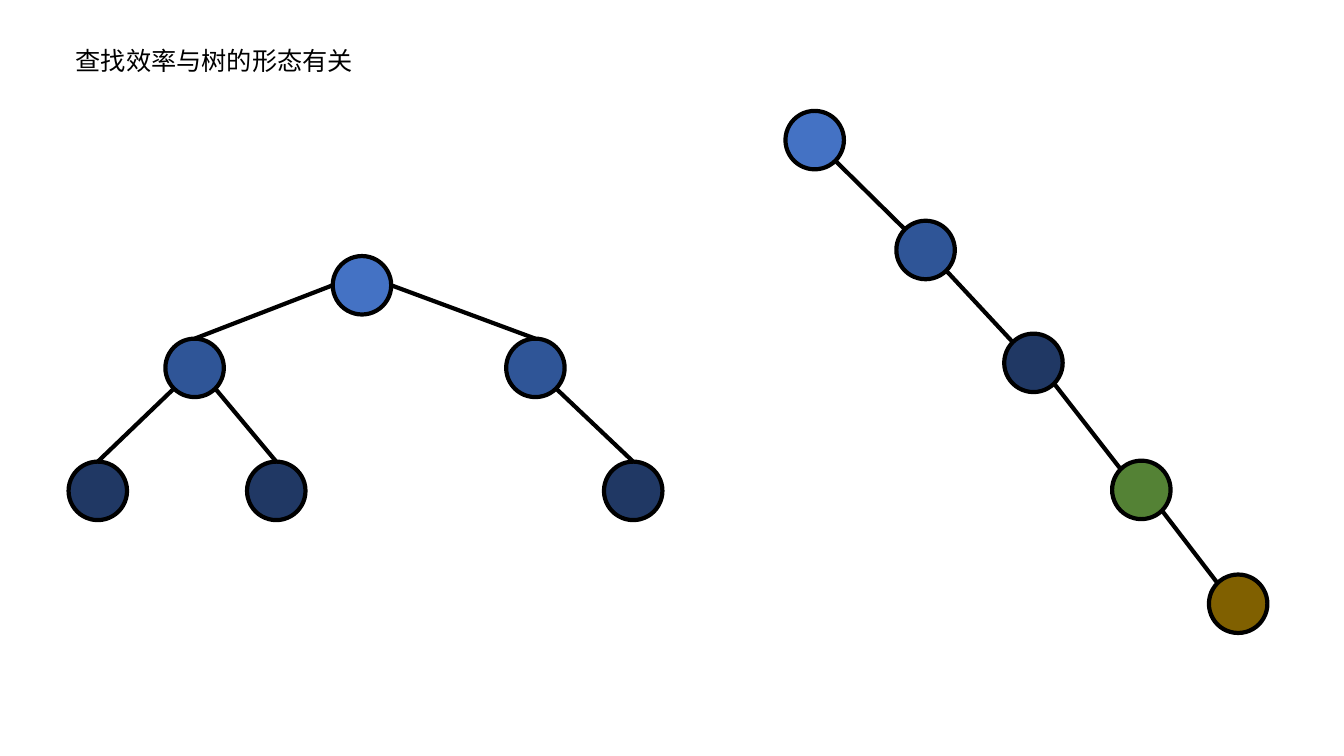
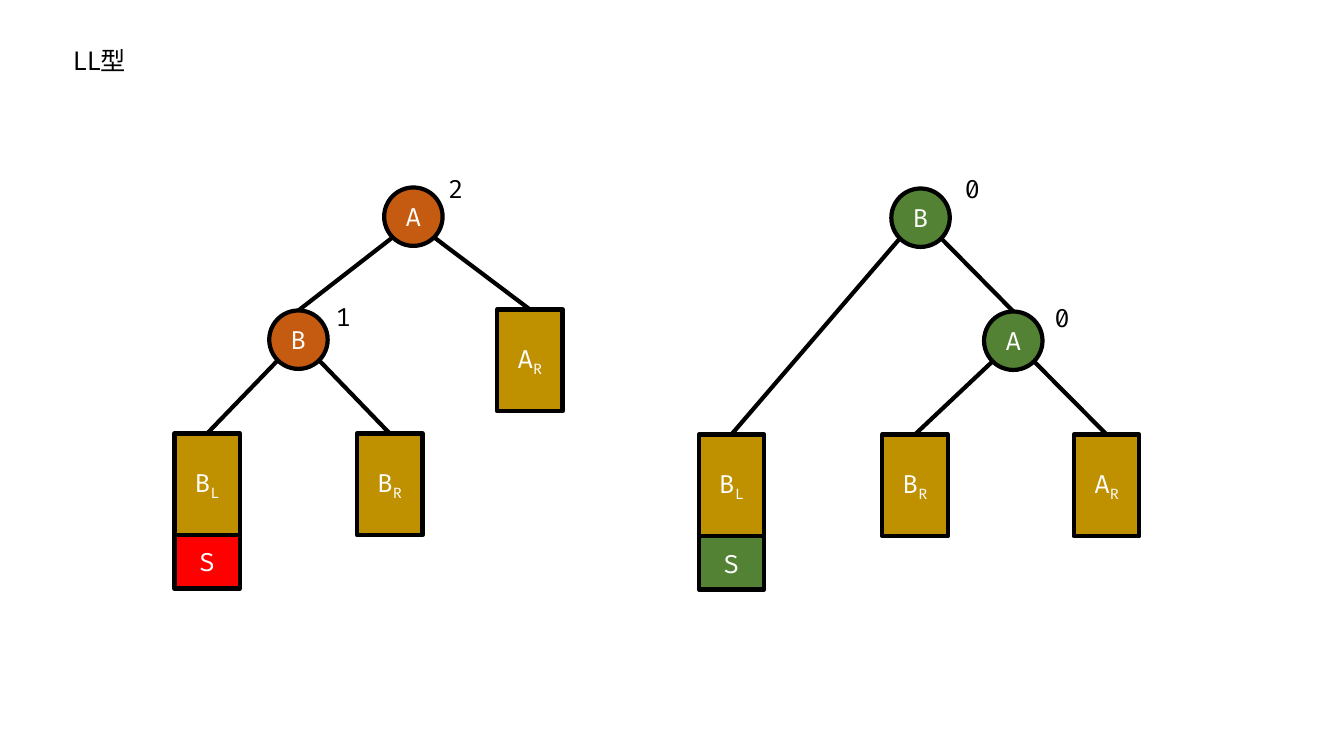
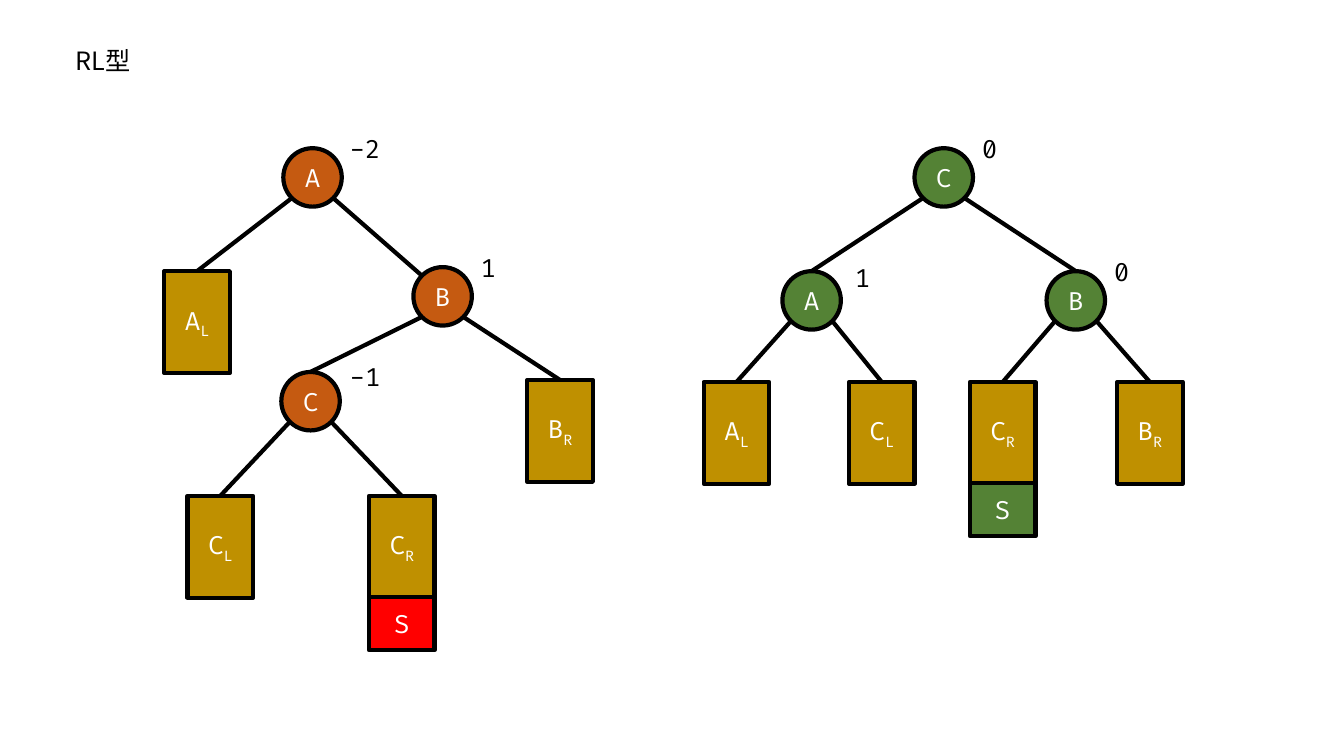
from lxml import etree
from pptx import Presentation
from pptx.dml.color import RGBColor
from pptx.enum.shapes import MSO_CONNECTOR, MSO_SHAPE
from pptx.enum.text import MSO_ANCHOR, MSO_AUTO_SIZE, PP_ALIGN
from pptx.oxml.ns import qn
from pptx.util import Inches, Pt

OVAL, RECT = MSO_SHAPE.OVAL, MSO_SHAPE.RECTANGLE
STRAIGHT = MSO_CONNECTOR.STRAIGHT
TOP, MIDDLE = MSO_ANCHOR.TOP, MSO_ANCHOR.MIDDLE
LEFT, CENTER = PP_ALIGN.LEFT, PP_ALIGN.CENTER
NO_FIT, GROW = MSO_AUTO_SIZE.NONE, MSO_AUTO_SIZE.SHAPE_TO_FIT_TEXT

COLORS = {
    "black": "000000", "white": "FFFFFF", "blue": "4472C4", "mid_blue": "2F5597",
    "navy": "203864", "green": "548235", "brown": "806000", "orange": "C55A11",
    "gold": "BF9000", "red": "FF0000",
}
TITLE_FONT, LABEL_FONT = "Noto Sans CJK SC", "Fira Code"
LINE_WIDTH = Pt(3)

TITLE_FRAME = {"vertical_anchor": TOP, "word_wrap": True, "auto_size": NO_FIT}
FACTOR_FRAME = {"vertical_anchor": TOP, "word_wrap": True, "auto_size": GROW}
NODE_FRAMES = {
    OVAL: {"vertical_anchor": MIDDLE, "word_wrap": False},
    RECT: {"vertical_anchor": MIDDLE, "word_wrap": True},
}

LOOKS = {color: (OVAL, 0.58, 0.58, color)
         for color in ("blue", "mid_blue", "navy", "green", "brown", "orange")}
LOOKS["subtree"] = (RECT, 0.65, 1.01, "gold")
LOOKS["inserted"] = (RECT, 0.65, 0.53, "red")
LOOKS["settled"] = (RECT, 0.65, 0.53, "green")

# joint: exit reach and drop on the parent, entry point on the child
JOINTS = {
    "arm": (1, 0.5, 0.5, 0),
    "leg": (0.85, 0.85, 0.5, 0),
    "chain": (0.85, 0.85, 0.15, 0.15),
}

# node: look, left, top, label, parent index, joint
# factor: text, left, top
SLIDES = [
    {
        "title": ("查找效率与树的形态有关", 0.65),
        "trees": [
            [("blue", 3.3, 2.54, "", None, None),
             ("mid_blue", 1.64, 3.36, "", 0, "arm"),
             ("mid_blue", 5.02, 3.36, "", 0, "arm"),
             ("navy", 0.68, 4.58, "", 1, "leg"),
             ("navy", 2.45, 4.58, "", 1, "leg"),
             ("navy", 5.99, 4.58, "", 2, "leg")],
            [("blue", 7.79, 1.1, "", None, None),
             ("mid_blue", 8.89, 2.19, "", 0, "chain"),
             ("navy", 9.96, 3.31, "", 1, "chain"),
             ("green", 11.03, 4.57, "", 2, "chain"),
             ("brown", 11.99, 5.7, "", 3, "chain")],
        ],
        "factors": [],
    },
    {
        "title": ("LL型", 0.63),
        "trees": [
            [("orange", 3.81, 1.86, "A", None, None),
             ("orange", 2.67, 3.08, "B", 0, "leg"),
             ("subtree", 4.93, 3.07, "AR", 0, "leg"),
             ("subtree", 1.73, 4.3, "BL", 1, "leg"),
             ("subtree", 3.54, 4.3, "BR", 1, "leg"),
             ("inserted", 1.73, 5.31, "S", None, None)],
            [("green", 8.84, 1.87, "B", None, None),
             ("green", 9.76, 3.09, "A", 0, "leg"),
             ("subtree", 6.93, 4.31, "BL", 0, "leg"),
             ("subtree", 8.75, 4.31, "BR", 1, "leg"),
             ("subtree", 10.65, 4.31, "AR", 1, "leg"),
             ("settled", 6.93, 5.32, "S", None, None)],
        ],
        "factors": [("2", 4.35, 1.67), ("1", 3.23, 2.94),
                    ("0", 9.47, 1.67), ("0", 10.36, 2.95)],
    },
    {
        "title": ("RL型", 0.65),
        "trees": [
            [("orange", 2.81, 1.47, "A", None, None),
             ("orange", 4.1, 2.65, "B", 0, "chain"),
             ("subtree", 1.63, 2.69, "AL", 0, "leg"),
             ("orange", 2.79, 3.69, "C", 1, "leg"),
             ("subtree", 5.23, 3.77, "BR", 1, "leg"),
             ("subtree", 1.86, 4.92, "CL", 3, "leg"),
             ("subtree", 3.66, 4.92, "CR", 3, "leg"),
             ("inserted", 3.66, 5.92, "S", None, None)],
            [("green", 9.07, 1.47, "C", None, None),
             ("green", 7.76, 2.69, "A", 0, "leg"),
             ("green", 10.38, 2.69, "B", 0, "leg"),
             ("subtree", 6.98, 3.79, "AL", 1, "leg"),
             ("subtree", 8.42, 3.79, "CL", 1, "leg"),
             ("subtree", 9.62, 3.79, "CR", 2, "leg"),
             ("subtree", 11.08, 3.79, "BR", 2, "leg"),
             ("settled", 9.62, 4.79, "S", None, None)],
        ],
        "factors": [("-2", 3.37, 1.27), ("1", 4.67, 2.45), ("-1", 3.37, 3.54),
                    ("0", 9.64, 1.27), ("1", 8.38, 2.55), ("0", 10.95, 2.49)],
    },
]
SLIDES = [dict(page) for page in SLIDES]


def rgb(name):
    return RGBColor.from_string(COLORS[name])


def write(frame, text, subscript, font_name, color, align, settings):
    for attribute, value in settings.items():
        setattr(frame, attribute, value)
    paragraph = frame.paragraphs[0]
    paragraph.alignment = align
    for part, baseline in ((text, None), (subscript, "-25000")):
        if not part:
            continue
        run = paragraph.add_run()
        run.text = part
        run.font.color.rgb = rgb(color)
        for attribute, value in {"size": Pt(18), "name": font_name}.items():
            setattr(run.font, attribute, value)
        properties = run._r.get_or_add_rPr()
        etree.SubElement(properties, qn("a:ea")).set("typeface", font_name)
        if baseline:
            properties.set("baseline", baseline)


deck = Presentation()
deck.slide_width, deck.slide_height = Inches(13.33), Inches(7.5)
title_only = deck.slide_layouts[5]

for page in SLIDES:
    slide = deck.slides.add_slide(title_only)
    heading, heading_left = page["title"]
    title = slide.shapes.title
    title.left, title.top = Inches(heading_left), Inches(0.4)
    title.width, title.height = Inches(3.49), Inches(0.4)
    write(title.text_frame, heading, "", TITLE_FONT, "black", LEFT, TITLE_FRAME)

    for tree in page["trees"]:
        nodes = []
        for look, left, top, label, parent_index, joint in tree:
            outline, width, height, color = LOOKS[look]
            node = slide.shapes.add_shape(
                outline, Inches(left), Inches(top), Inches(width), Inches(height))
            node.shadow.inherit = False
            node.fill.solid()
            node.fill.fore_color.rgb = rgb(color)
            node.line.color.rgb = rgb("black")
            node.line.width = LINE_WIDTH
            if label:
                write(node.text_frame, label[0], label[1:], LABEL_FONT, "white",
                      CENTER, NODE_FRAMES[outline])
            nodes.append(node)
            if parent_index is None:
                continue

            parent = nodes[parent_index]
            reach, drop, entry_x, entry_y = JOINTS[joint]
            exit_x = reach if node.left > parent.left else 1 - reach
            branch = slide.shapes.add_connector(
                STRAIGHT,
                int(parent.left + exit_x * parent.width),
                int(parent.top + drop * parent.height),
                int(node.left + entry_x * node.width),
                int(node.top + entry_y * node.height))
            if outline == RECT:
                branch.end_connect(node, 0)
            branch.line.color.rgb = rgb("black")
            branch.line.width = LINE_WIDTH
            etree.SubElement(branch._element.spPr, qn("a:effectLst"))

    for balance, left, top in page["factors"]:
        factor = slide.shapes.add_textbox(
            Inches(left), Inches(top), Inches(0.6), Inches(0.4))
        write(factor.text_frame, balance, "", LABEL_FONT, "black", LEFT, FACTOR_FRAME)

deck.save("out.pptx")
